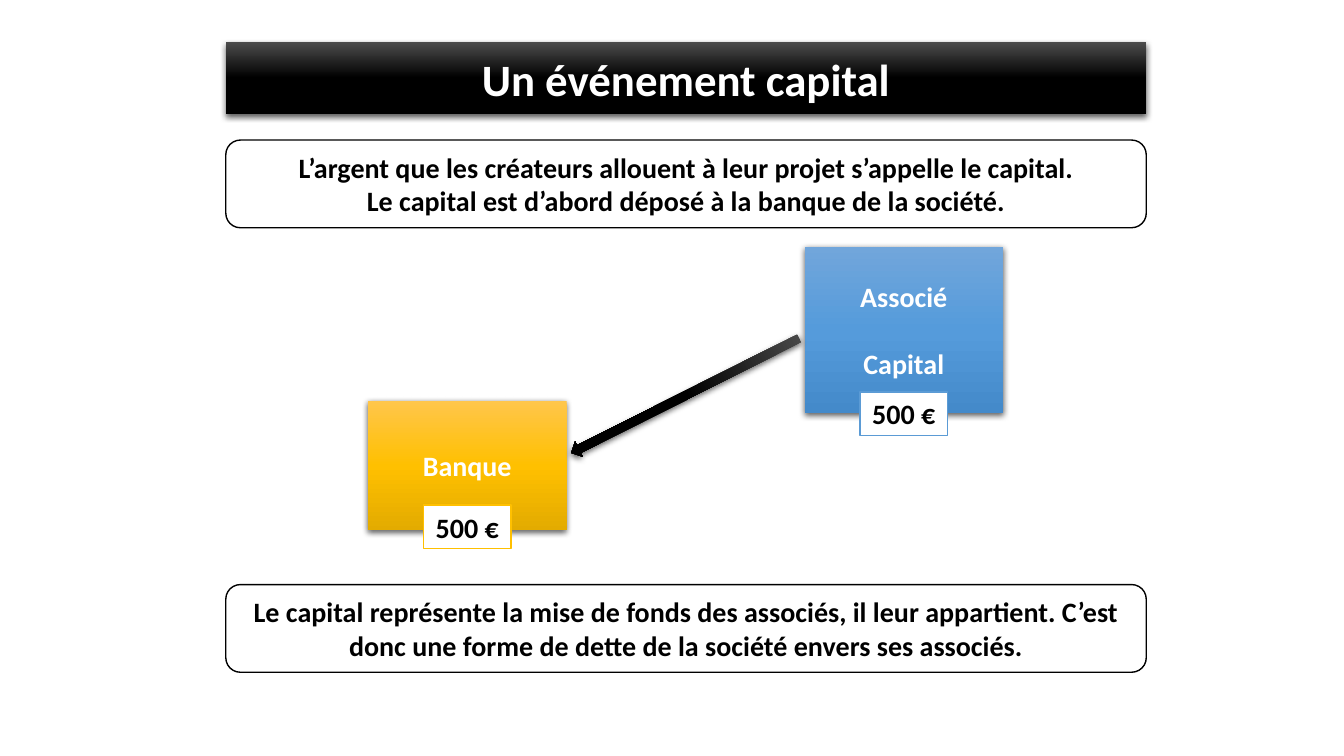
from collections import namedtuple

from pptx import Presentation
from pptx import util as u
from pptx.dml.color import RGBColor
from pptx.enum import shapes, text
from pptx.oxml import parse_xml
from pptx.oxml.ns import nsdecls

Box = namedtuple("Box", "left top width height")

WIDTH, HEIGHT = u.Inches(13.33), u.Inches(7.5)
COLUMN, ROW = WIDTH / 100, HEIGHT / 100
FONT = "Calibri"
COLORS = {"black": "000000", "white": "FFFFFF", "blue": "5B9BD5", "gold": "FFC000"}
GRADIENTS = {
    "black": ("4B4B4B", "000000", "000000"),
    "blue": ("71A6DB", "559BDB", "448ACA"),
    "gold": ("FFC64B", "FFC000", "E3AB00"),
}
BAND_LEFT, BAND_WIDTH = 16.8, 68.49


def to_slide(box):
    return (round(box.left * COLUMN), round(box.top * ROW),
            round(box.width * COLUMN), round(box.height * ROW))


def add_shape(slide, kind, box):
    shape = slide.shapes.add_shape(kind, *to_slide(box))
    shape.shadow.inherit = False
    return shape


def set_glossy(shape, tone):
    stops = "".join(
        f'<a:gs pos="{position}"><a:srgbClr val="{color}"/></a:gs>'
        for position, color in zip((0, 50000, 100000), GRADIENTS[tone]))
    properties = shape._element.spPr
    for effects in properties.findall("{*}effectLst"):
        properties.remove(effects)
    shape.line.fill.background()
    gradient = parse_xml(
        f'<a:gradFill {nsdecls("a")} rotWithShape="1"><a:gsLst>{stops}</a:gsLst>'
        '<a:lin ang="5400000" scaled="0"/></a:gradFill>')
    properties.find("{*}prstGeom").addnext(gradient)
    properties.append(parse_xml(
        f'<a:effectLst {nsdecls("a")}><a:outerShdw blurRad="57150" dist="19050" '
        'dir="5400000" algn="ctr" rotWithShape="0"><a:srgbClr val="000000">'
        '<a:alpha val="63000"/></a:srgbClr></a:outerShdw></a:effectLst>'))


def set_outlined(shape, line_color):
    shape.fill.solid()
    shape.fill.fore_color.rgb = RGBColor.from_string(COLORS["white"])
    shape.line.color.rgb = RGBColor.from_string(COLORS[line_color])
    shape.line.width = u.Pt(1)


def write(shape, content, color, size=20, gap=0):
    frame = shape.text_frame
    frame.text = content
    frame.word_wrap = True
    frame.vertical_anchor = text.MSO_ANCHOR.MIDDLE
    for index, paragraph in enumerate(frame.paragraphs):
        paragraph.alignment = text.PP_ALIGN.CENTER
        paragraph.space_before = u.Pt(gap if index else 0)
        for run in paragraph.runs:
            run.font.name = FONT
            run.font.size = u.Pt(size)
            run.font.bold = True
            run.font.color.rgb = RGBColor.from_string(COLORS[color])


def add_title(slide, box, content):
    title = slide.shapes.title
    title.left, title.top, title.width, title.height = to_slide(box)
    title._element.spPr.append(parse_xml(
        f'<a:prstGeom {nsdecls("a")} prst="roundRect"><a:avLst/></a:prstGeom>'))
    set_glossy(title, "black")
    write(title, content, "white", size=32)


def add_statement(slide, box, content):
    statement = add_shape(slide, shapes.MSO_SHAPE.ROUNDED_RECTANGLE, box)
    set_outlined(statement, "black")
    write(statement, content, "black")


def add_holder(slide, box, tone, content, amount, overlap):
    card = add_shape(slide, shapes.MSO_SHAPE.RECTANGLE, box)
    set_glossy(card, tone)
    write(card, content, "white", gap=24)
    width, height = 6.53, 5.73
    badge_box = Box(box.left + (box.width - width) / 2,
                    box.top + box.height - overlap * height, width, height)
    badge = add_shape(slide, shapes.MSO_SHAPE.RECTANGLE, badge_box)
    set_outlined(badge, tone)
    write(badge, amount, "black")


def add_transfer_arrow(slide, box, rotation):
    arrow = add_shape(slide, shapes.MSO_SHAPE.DOWN_ARROW, box)
    arrow.rotation = rotation
    set_glossy(arrow, "black")


def main():
    presentation = Presentation()
    presentation.slide_width, presentation.slide_height = WIDTH, HEIGHT
    slide = presentation.slides.add_slide(presentation.slide_layouts[5])

    add_title(slide, Box(BAND_LEFT, 5.6, BAND_WIDTH, 9.47), "Un événement capital")
    add_holder(slide, Box(59.86, 32.67, 14.78, 22), "blue",
               "Associé\nCapital", "500 €", overlap=0.49)
    add_holder(slide, Box(27.38, 53.07, 14.78, 17.07), "gold",
               "Banque", "500 €", overlap=0.58)
    add_transfer_arrow(slide, Box(50.34, 35.47, 1.28, 33.73), 63.3)

    statements = {
        18.53: "L’argent que les créateurs allouent à leur projet s’appelle le capital.\n"
               "Le capital est d’abord déposé à la banque de la société.",
        77.33: "Le capital représente la mise de fonds des associés, il leur appartient. "
               "C’est donc une forme de dette de la société envers ses associés.",
    }
    for top, content in statements.items():
        add_statement(slide, Box(BAND_LEFT, top, BAND_WIDTH, 11.6), content)

    presentation.save("out.pptx")


if __name__ == "__main__":
    main()
